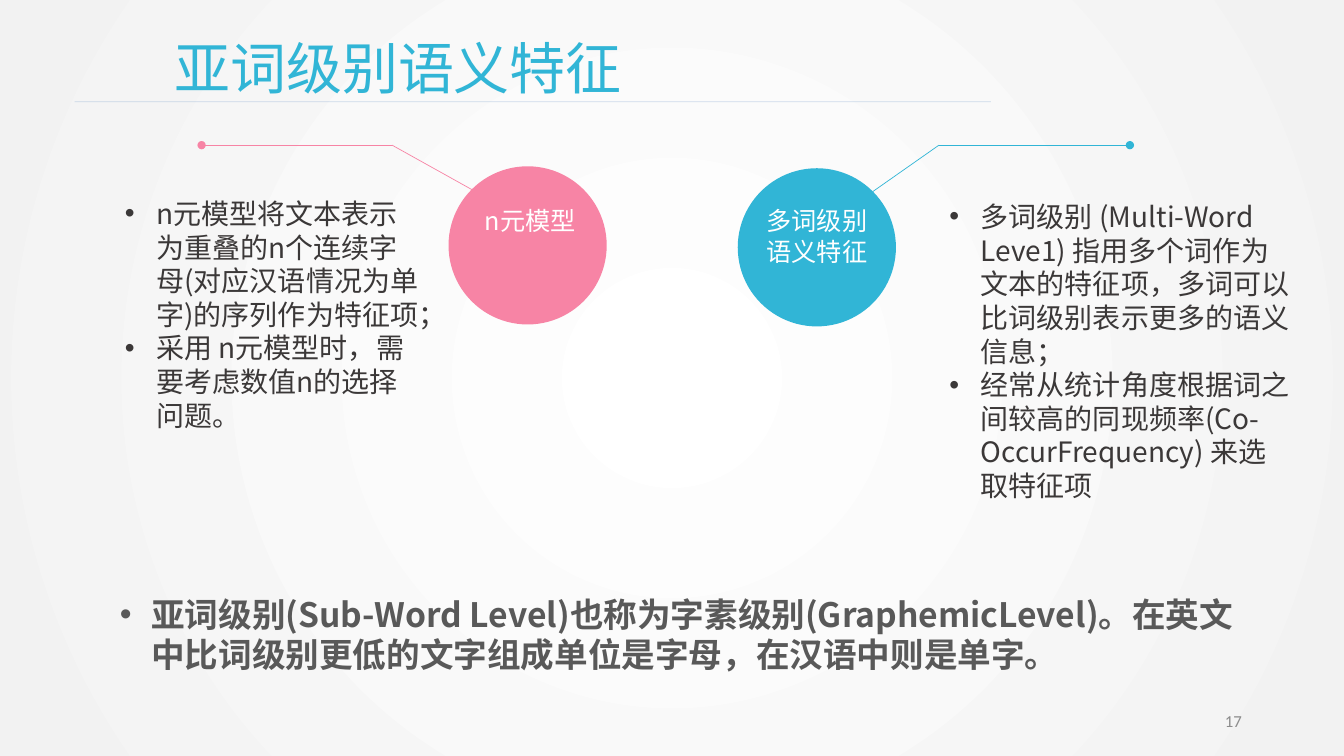
from dataclasses import dataclass

from pptx import Presentation
from pptx.dml.color import RGBColor
from pptx.enum.shapes import MSO_CONNECTOR, MSO_SHAPE
from pptx.enum.text import MSO_ANCHOR, MSO_AUTO_SIZE, PP_ALIGN
from pptx.oxml import parse_xml
from pptx.oxml.ns import nsdecls, qn
from pptx.oxml.xmlchemy import OxmlElement
from pptx.shapes.connector import Connector
from pptx.slide import Slide
from pptx.util import Pt

WHITE = RGBColor(0xFF, 0xFF, 0xFF)
PALE_GRAY = RGBColor(0xF2, 0xF2, 0xF2)
PINK = RGBColor(0xF7, 0x84, 0xA5)
CYAN = RGBColor(0x31, 0xB5, 0xD6)
RULE_BLUE = RGBColor(0x4A, 0x7E, 0xBB)
BODY_GRAY = RGBColor(0x3B, 0x38, 0x38)
SUMMARY_GRAY = RGBColor(0x59, 0x59, 0x59)
NUMBER_GRAY = RGBColor(0x8C, 0x8C, 0x8C)

CJK_FONT = "Noto Sans CJK SC"
NUMBER_FONT = "Calibri"
BULLET_INDENT = Pt(22.5)
CIRCLE_SIZE = 113
LABEL_TOP = 143.3
CALLOUT_Y = 103.7

Point = tuple[float, float]


@dataclass(frozen=True)
class Box:
    left: float
    top: float
    width: float
    height: float


@dataclass(frozen=True)
class TextStyle:
    size: float
    color: RGBColor
    font: str = CJK_FONT
    bold: bool = False
    bullet: bool = False
    align: PP_ALIGN = PP_ALIGN.LEFT
    anchor: MSO_ANCHOR = MSO_ANCHOR.TOP
    grow: bool = True


@dataclass(frozen=True)
class Feature:
    color: RGBColor
    circle_left: float
    circle_top: float
    label: tuple[str, ...]
    label_width: float
    label_height: float
    callout_end: float
    callout_bend: float
    circle_touch: Point
    details: Box
    points: tuple[str, ...]


TITLE = TextStyle(40, CYAN)
LABEL = TextStyle(18, WHITE, align=PP_ALIGN.CENTER)
DETAILS = TextStyle(20, BODY_GRAY, bullet=True)
SUMMARY = TextStyle(24, SUMMARY_GRAY, bold=True, bullet=True)
NUMBER = TextStyle(12, NUMBER_GRAY, font=NUMBER_FONT, align=PP_ALIGN.RIGHT,
                   anchor=MSO_ANCHOR.MIDDLE, grow=False)

FEATURES = (
    Feature(
        PINK, 320.4, 118.8, (" n元模型",), 85.7, 28.8, 144, 280.1, (337, 135.4),
        Box(82.1, 136.8, 226.1, 177.1),
        ("n元模型将文本表示为重叠的n个连续字母(对应汉语情况为单字)的序列作为特征项；",
         "采用 n元模型时，需要考虑数值n的选择问题。"),
    ),
    Feature(
        CYAN, 527, 120.2, ("多词级别", "语义特征"), 87.1, 51.1, 807.1, 670.7, (623.5, 136.8),
        Box(671, 139, 258.5, 249.8),
        ("多词级别 (Multi-Word Leve1) 指用多个词作为文本的特征项，多词可以比词级别表示更多的语义信息；",
         "经常从统计角度根据词之间较高的同现频率(Co-OccurFrequency) 来选取特征项"),
    ),
)


def paint_background(slide: Slide) -> None:
    fill = slide.background.fill
    fill.gradient()
    for stop, color in zip(fill.gradient_stops, (WHITE, PALE_GRAY)):
        stop.color.rgb = color
    gradient = slide.element.find(".//" + qn("a:gradFill"))
    gradient.remove(gradient.find(qn("a:lin")))
    gradient.append(parse_xml(
        f'<a:path {nsdecls("a")} path="circle">'
        '<a:fillToRect l="50000" t="50000" r="50000" b="50000"/></a:path>'
    ))


def add_text(slide: Slide, box: Box, texts: tuple[str, ...], style: TextStyle) -> None:
    shape = slide.shapes.add_textbox(Pt(box.left), Pt(box.top), Pt(box.width), Pt(box.height))
    frame = shape.text_frame
    frame.word_wrap = True
    frame.auto_size = MSO_AUTO_SIZE.SHAPE_TO_FIT_TEXT if style.grow else MSO_AUTO_SIZE.NONE
    frame.vertical_anchor = style.anchor
    for index, text in enumerate(texts):
        paragraph = frame.add_paragraph() if index else frame.paragraphs[0]
        paragraph.alignment = style.align
        if style.bullet:
            properties = paragraph._p.get_or_add_pPr()
            properties.set("marL", str(BULLET_INDENT))
            properties.set("indent", str(-BULLET_INDENT))
            properties.append(parse_xml(f'<a:buFont {nsdecls("a")} typeface="Arial"/>'))
            properties.append(parse_xml(f'<a:buChar {nsdecls("a")} char="•"/>'))
        run = paragraph.add_run()
        run.text = text
        font = run.font
        font.size = Pt(style.size)
        font.bold = style.bold
        font.color.rgb = style.color
        font.name = style.font
        east_asian = OxmlElement("a:ea")
        east_asian.set("typeface", style.font)
        run._r.get_or_add_rPr().append(east_asian)


def add_line(slide: Slide, start: Point, end: Point, color: RGBColor) -> Connector:
    line = slide.shapes.add_connector(
        MSO_CONNECTOR.STRAIGHT, Pt(start[0]), Pt(start[1]), Pt(end[0]), Pt(end[1]))
    line.line.color.rgb = color
    line.line.width = Pt(0.5)
    line._element.spPr.append(OxmlElement("a:effectLst"))
    return line


def add_circle(slide: Slide, feature: Feature) -> None:
    shape = slide.shapes.add_shape(
        MSO_SHAPE.FLOWCHART_CONNECTOR, Pt(feature.circle_left), Pt(feature.circle_top),
        Pt(CIRCLE_SIZE), Pt(CIRCLE_SIZE))
    shape.shadow.inherit = False
    shape.fill.solid()
    shape.fill.fore_color.rgb = feature.color
    shape.line.fill.background()


def add_feature(slide: Slide, feature: Feature) -> None:
    add_circle(slide, feature)
    label_left = feature.circle_left + (CIRCLE_SIZE - feature.label_width) / 2
    label_box = Box(label_left, LABEL_TOP, feature.label_width, feature.label_height)
    add_text(slide, label_box, feature.label, LABEL)
    bend = (feature.callout_bend, CALLOUT_Y)
    callout = add_line(slide, bend, (feature.callout_end, CALLOUT_Y), feature.color)
    callout.line._get_or_add_ln().append(
        parse_xml(f'<a:tailEnd {nsdecls("a")} type="oval"/>'))
    add_line(slide, bend, feature.circle_touch, feature.color)
    add_text(slide, feature.details, feature.points, DETAILS)


def main() -> None:
    presentation = Presentation()
    presentation.slide_width = Pt(960)
    presentation.slide_height = Pt(540)
    slide = presentation.slides.add_slide(presentation.slide_layouts[6])
    paint_background(slide)
    add_text(slide, Box(78.5, 420.5, 812.2, 65.5), (
        "亚词级别(Sub-Word Level)也称为字素级别(GraphemicLevel)。"
        "在英文中比词级别更低的文字组成单位是字母，在汉语中则是单字。",), SUMMARY)
    divider = add_line(slide, (53.3, 72.7), (707.8, 72.7), RULE_BLUE)
    divider_color = divider._element.spPr.find(".//" + qn("a:srgbClr"))
    divider_color.append(parse_xml(f'<a:alpha {nsdecls("a")} val="25000"/>'))
    add_text(slide, Box(117.4, 20.2, 612, 55.4), ("亚词级别语义特征",), TITLE)
    for feature in FEATURES:
        add_feature(slide, feature)
    add_text(slide, Box(678.2, 500.4, 216, 28.8), ("17",), NUMBER)
    presentation.save("out.pptx")


if __name__ == "__main__":
    main()
